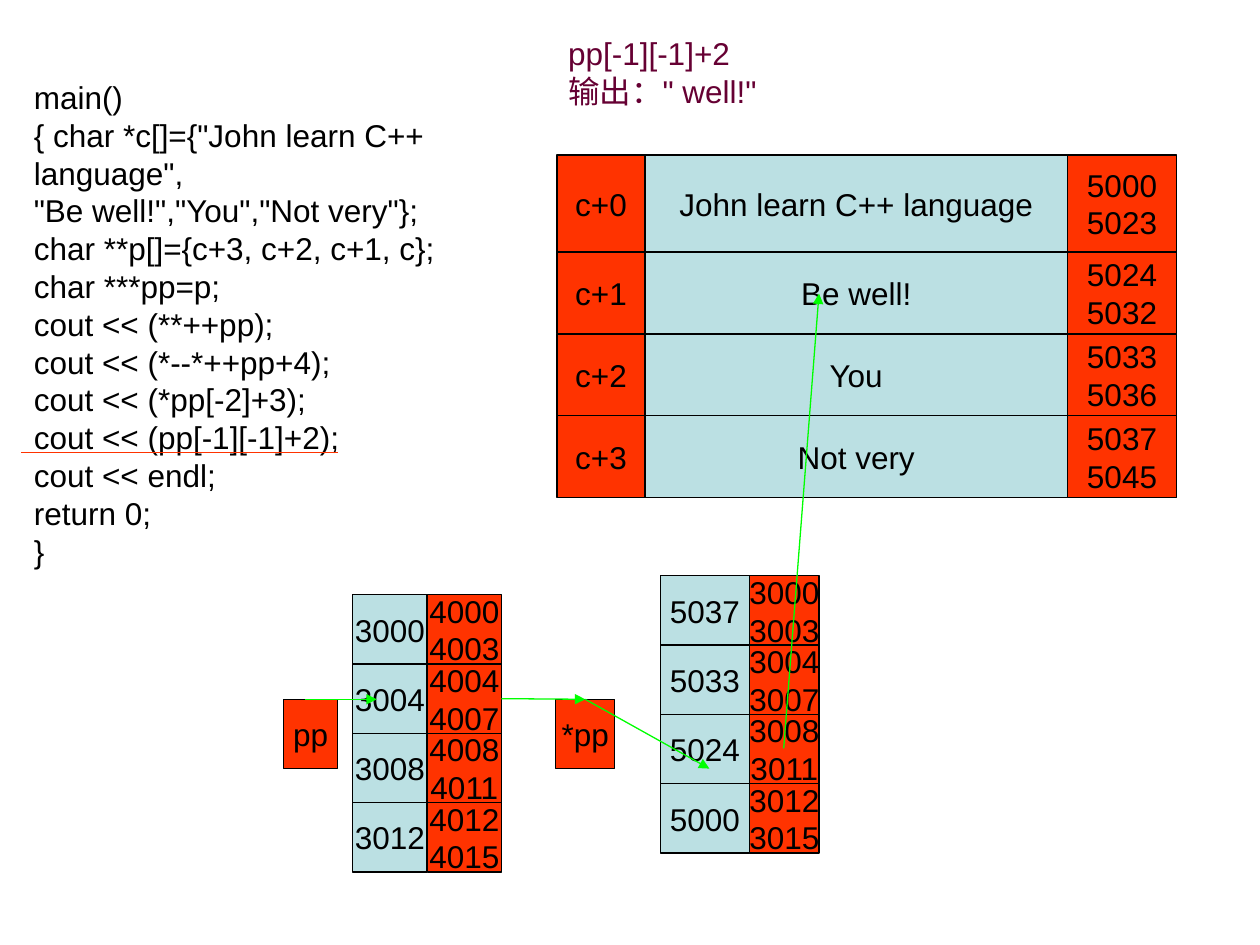
from dataclasses import dataclass

import pptx
import pptx.dml.color
import pptx.enum.shapes
import pptx.enum.text
import pptx.oxml
import pptx.oxml.ns
import pptx.util
from pptx.util import Inches

RED = pptx.dml.color.RGBColor(0xFF, 0x33, 0x00)
PALE_BLUE = pptx.dml.color.RGBColor(0xBB, 0xE0, 0xE3)
GREEN = pptx.dml.color.RGBColor(0x00, 0xFF, 0x00)
BLACK = pptx.dml.color.RGBColor(0x00, 0x00, 0x00)
PLUM = pptx.dml.color.RGBColor(0x66, 0x00, 0x33)
LINE_WIDTH = pptx.util.Pt(0.75)
FONT = {"name": "Arial", "size": pptx.util.Pt(18)}
CELL_FRAME = {
    "word_wrap": False,
    "vertical_anchor": pptx.enum.text.MSO_ANCHOR.MIDDLE,
}
NOTE_FRAME = {
    "word_wrap": True,
    "auto_size": pptx.enum.text.MSO_AUTO_SIZE.SHAPE_TO_FIT_TEXT,
}

CODE = """main()
{ char *c[]={"John learn C++ language",
"Be well!","You","Not very"};
char **p[]={c+3, c+2, c+1, c};
char ***pp=p;
cout << (**++pp);
cout << (*--*++pp+4);
cout << (*pp[-2]+3);
cout << (pp[-1][-1]+2);
cout << endl;
return 0;
}"""
RESULT = 'pp[-1][-1]+2\n输出：" well!"'


@dataclass
class Box:
    left: float
    top: float
    width: float
    height: float

    def lengths(self) -> list:
        return [Inches(v) for v in (self.left, self.top, self.width, self.height)]


@dataclass
class PointerStack:
    """A column of four pointers beside the addresses they occupy."""
    left: float
    top: float
    value_width: float
    address_width: float
    values: list
    first_address: int


@dataclass
class StringRow:
    label: str
    text: str
    first: int
    last: int
    height: float


def write_text(shape, text: str, frame_format: dict, color, alignment) -> None:
    frame = shape.text_frame
    frame.text = text
    for name, value in frame_format.items():
        setattr(frame, name, value)
    for paragraph in frame.paragraphs:
        paragraph.alignment = alignment
        for run in paragraph.runs:
            for name, value in FONT.items():
                setattr(run.font, name, value)
            run.font.color.rgb = color


def add_note(slide, box: Box, text: str, color) -> None:
    shape = slide.shapes.add_textbox(*box.lengths())
    write_text(shape, text, NOTE_FRAME, color, pptx.enum.text.PP_ALIGN.LEFT)


def add_cell(slide, box: Box, text: str, fill):
    shape = slide.shapes.add_shape(
        pptx.enum.shapes.MSO_SHAPE.RECTANGLE, *box.lengths())
    shape.shadow.inherit = False
    shape.fill.solid()
    shape.fill.fore_color.rgb = fill
    shape.line.color.rgb = BLACK
    shape.line.width = LINE_WIDTH
    write_text(shape, text, CELL_FRAME, BLACK, pptx.enum.text.PP_ALIGN.CENTER)
    return shape


def add_stack(slide, stack: PointerStack, row_height: float = 0.55) -> list:
    """Draw the stack and return its address cells."""
    address_cells = []
    for index, value in enumerate(stack.values):
        top = stack.top + index * row_height
        first = stack.first_address + 4 * index
        add_cell(slide, Box(stack.left, top, stack.value_width, row_height),
                 str(value), PALE_BLUE)
        address_cells.append(add_cell(
            slide, Box(stack.left + stack.value_width, top,
                       stack.address_width, row_height),
            f"{first}\n{first + 3}", RED))
    return address_cells


def add_line(slide, start: tuple, end: tuple, color, arrow: bool = True):
    connector = slide.shapes.add_connector(
        pptx.enum.shapes.MSO_CONNECTOR.STRAIGHT,
        *[Inches(v) for v in (*start, *end)])
    connector.line.color.rgb = color
    connector.line.width = LINE_WIDTH
    if arrow:
        tail = pptx.oxml.parse_xml(
            f'<a:tailEnd {pptx.oxml.ns.nsdecls("a")} type="triangle"/>')
        connector.line._get_or_add_ln().append(tail)
    connector._element.spPr.append(pptx.oxml.parse_xml(
        f'<a:effectLst {pptx.oxml.ns.nsdecls("a")}/>'))
    return connector


def main() -> None:
    presentation = pptx.Presentation()
    presentation.slide_width = Inches(10)
    presentation.slide_height = Inches(7.5)
    slide = presentation.slides.add_slide(presentation.slide_layouts[6])

    # Program listing
    add_note(slide, Box(0.17, 0.57, 3.99, 4), CODE, BLACK)

    # Pointer variables and the arrays they walk through
    add_cell(slide, Box(2.25, 5.55, 0.43, 0.55), "pp", RED)
    target = add_cell(slide, Box(4.41, 5.55, 0.47, 0.55), "*pp", RED)
    pp_addresses = add_stack(slide, PointerStack(
        2.8, 4.72, 0.59, 0.59, [3000, 3004, 3008, 3012], 4000))
    add_stack(slide, PointerStack(
        5.24, 4.57, 0.71, 0.55, [5037, 5033, 5024, 5000], 3000))

    # Arrows from pp to *pp and on to the string address
    add_line(slide, (2.42, 5.55), (2.99, 5.55), GREEN)
    to_target = add_line(slide, (3.98, 5.55), (4.65, 5.55), GREEN)
    to_target.begin_connect(pp_addresses[1], 3)
    to_target.end_connect(target, 0)
    from_target = add_line(slide, (4.65, 5.55), (5.63, 6.1), GREEN)
    from_target.begin_connect(target, 0)

    # Strings in memory
    rows = [
        StringRow("c+0", "John learn C++ language", 5000, 5023, 0.77),
        StringRow("c+1", "Be well!", 5024, 5032, 0.65),
        StringRow("c+2", "You", 5033, 5036, 0.65),
        StringRow("c+3", "Not very", 5037, 5045, 0.65),
    ]
    top = 1.23
    for row in rows:
        add_cell(slide, Box(4.42, top, 0.7, row.height), row.label, RED)
        add_cell(slide, Box(5.12, top, 3.35, row.height), row.text, PALE_BLUE)
        add_cell(slide, Box(8.47, top, 0.87, row.height),
                 f"{row.first}\n{row.last}", RED)
        top += row.height

    # Underlined statement, its string and its output
    add_line(slide, (0.17, 3.59), (2.68, 3.59), RED, arrow=False)
    add_line(slide, (6.22, 5.94), (6.5, 2.33), GREEN)
    add_note(slide, Box(4.41, 0.22, 4.61, 0.7), RESULT, PLUM)

    presentation.save("out.pptx")


if __name__ == "__main__":
    main()
